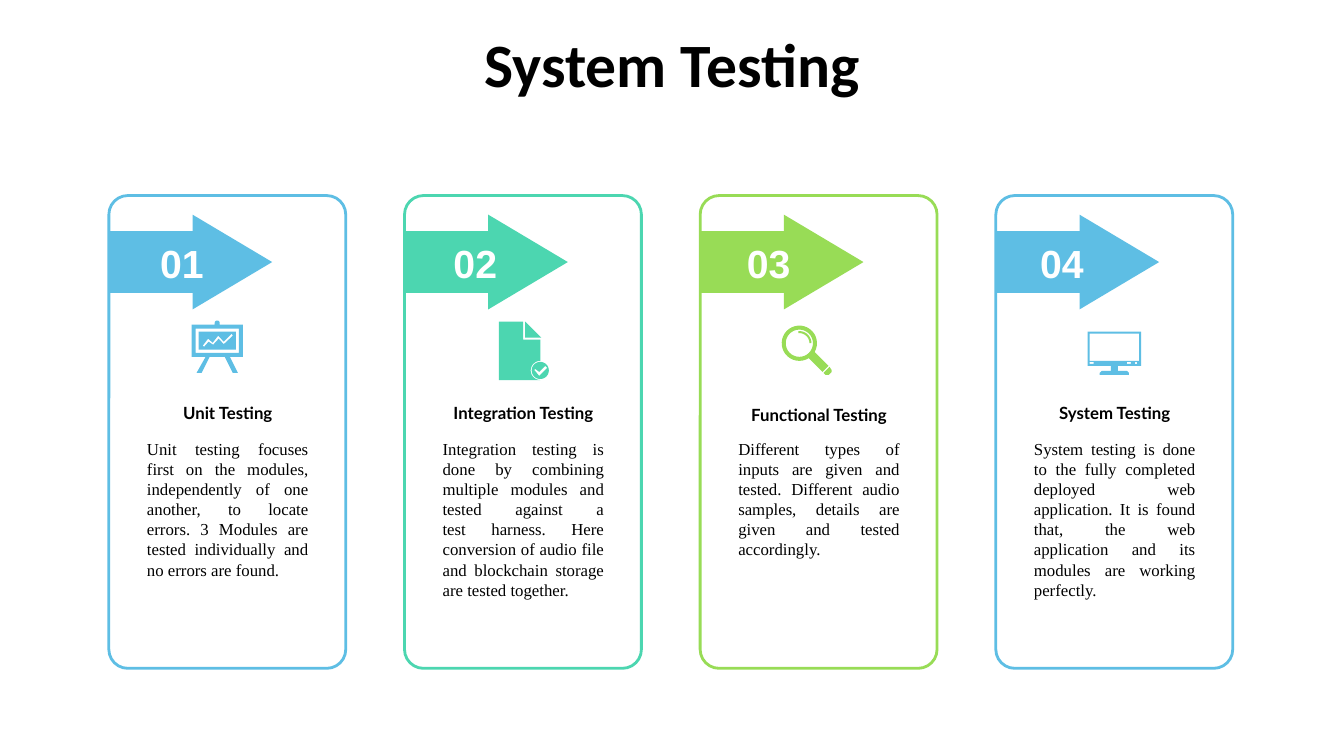
import math

import pptx
import pptx.util
import pptx.dml.color
import pptx.enum.shapes
import pptx.enum.text

COLORS = {
    "blue": "5EBEE4",
    "teal": "4CD6B0",
    "green": "98DC56",
    "white": "FFFFFF",
    "black": "000000",
}
SHAPES = pptx.enum.shapes.MSO_SHAPE
ALIGN = pptx.enum.text.PP_ALIGN

# The slide is a grid of square cells, ten to the inch.
CELL = pptx.util.Inches(0.1)
COLUMNS, ROWS = 133.33, 75
CARD_LEFT, CARD_PITCH = 10.8, 29.33
NUMBER_LEFT, NUMBER_PITCH = 14.5, 29.1

FORMATS = {
    "title": {"name": "Calibri", "size": 44, "bold": True, "color": "black"},
    "number": {"name": "Arial", "size": 28, "bold": True, "color": "white"},
    "heading": {"name": "Lato", "size": 12, "bold": True, "color": "black"},
    "body": {"name": "Times New Roman", "size": 12, "bold": False, "color": "black"},
}

CARDS = [
    {"color": "blue", "heading": "Unit Testing", "heading_row": 39.5, "body_rows": 15.1,
     "body": "Unit testing focuses first on the modules, independently of one another, "
             "to locate errors. 3 Modules are tested individually and no errors are found."},
    {"color": "teal", "heading": "Integration Testing", "heading_row": 39.5, "body_rows": 17.2,
     "body": "Integration testing is done by combining multiple modules and tested against a\v"
             "test harness. Here conversion of audio file and blockchain storage are tested "
             "together."},
    {"color": "green", "heading": "Functional Testing", "heading_row": 39.7, "body_rows": 13.1,
     "body": "Different types of inputs are given and tested. Different audio samples, "
             "details are given and tested accordingly."},
    {"color": "blue", "heading": "System Testing", "heading_row": 39.5, "body_rows": 17.2,
     "body": "System testing is done to the fully completed deployed web application. It is "
             "found that, the web application and its modules are working perfectly."},
]


def cells(*values):
    return [round(value * CELL) for value in values]


def rgb(color):
    return pptx.dml.color.RGBColor.from_string(COLORS[color])


def paint(shape, fill, line=None):
    shape.shadow.inherit = False
    shape.fill.solid()
    shape.fill.fore_color.rgb = rgb(fill)
    if line:
        shape.line.color.rgb = rgb(line)
        shape.line.width = pptx.util.Pt(2)
    else:
        shape.line.fill.background()


def add_preset(slide, kind, box, adjustments, fill, line=None):
    shape = slide.shapes.add_shape(kind, *cells(*box))
    for index, value in enumerate(adjustments):
        shape.adjustments[index] = value
    paint(shape, fill, line)


def add_text(slide, box, text, style, align=ALIGN.CENTER, spacing=None):
    frame = slide.shapes.add_textbox(*cells(*box)).text_frame
    frame.word_wrap = True
    if style != "title":
        frame.auto_size = pptx.enum.text.MSO_AUTO_SIZE.SHAPE_TO_FIT_TEXT
    frame.text = text
    paragraph = frame.paragraphs[0]
    paragraph.alignment = align
    paragraph.line_spacing = spacing
    for run in paragraph.runs:
        for name, value in FORMATS[style].items():
            if name == "color":
                run.font.color.rgb = rgb(value)
            else:
                setattr(run.font, name, pptx.util.Pt(value) if name == "size" else value)


def rectangle(left, top, right, bottom):
    return [(left, top), (right, top), (right, bottom), (left, bottom)]


def arc(x, y, radius, start=0, end=360):
    """Points along a circle, with angles in degrees clockwise from the right."""
    steps = 32
    angles = [math.radians(start + (end - start) * step / steps) for step in range(steps + 1)]
    return [(x + radius * math.cos(angle), y + radius * math.sin(angle)) for angle in angles]


def add_icon(slide, column, row, color, contours):
    """Fill nested contours, given in tenths of a cell, as one outline with holes."""
    scaled = [[cells(x / 10, y / 10) for x, y in contour] for contour in contours]
    builder = slide.shapes.build_freeform(*scaled[0][0])
    for index, contour in enumerate(scaled):
        if index:
            builder.move_to(*contour[0])
        builder.add_line_segments(contour[1:], close=True)
    paint(builder.convert_to_shape(*cells(column, row)), color)


def easel():
    return [
        [(0, 4), (23, 4), *arc(25.5, 2.5, 2.5, 180, 360), (28, 4), (51, 4), (51, 36),
         (38, 36), (46, 52), (41, 52), (33, 36), (18, 36), (10, 52), (5, 52), (14, 36), (0, 36)],
        rectangle(4, 8, 47, 32),
        rectangle(7, 11, 44, 29),
        [(11, 25), (16.5, 18), (21, 22), (26.5, 15), (32, 21), (40, 13), (41, 15),
         (32, 23.5), (27, 18), (21.5, 24), (17, 21), (12.5, 26)],
    ]


def checked_document():
    return [
        [(0, 0), (24, 0), (24, 18), (41, 18), *arc(41, 48.5, 9.5, 270, 90), (0, 58)],
        [(26, 0), (42, 16), (26, 16)],
        arc(41, 48.5, 8.5),
        [(46, 44), (40, 50), (36, 47), (35, 48), (40, 54), (48, 46)],
    ]


def magnifier():
    return [
        [*arc(17, 17.5, 17.5, 58, 390), (46, 40), (40, 46), (26, 32)],
        arc(17, 17.5, 13.5),
        arc(17, 17.5, 12, -95, 0) + arc(17, 17.5, 10, 0, -95),
        [(47, 41), (49, 44), (49, 46), (46, 49), (43, 49), (41, 47)],
    ]


def monitor():
    return [
        [(0, 0), (53, 0), (53, 34), (30, 34), (30, 39), (39, 39), (41, 41), (41, 43),
         (12, 43), (12, 41), (14, 39), (23, 39), (23, 34), (0, 34)],
        rectangle(2, 2, 51, 29),
        rectangle(2, 30, 6, 32),
        rectangle(39, 30, 43, 32),
        arc(48, 31.2, 1.2),
    ]


def add_card(slide, index, card):
    left = CARD_LEFT + index * CARD_PITCH
    number_left = NUMBER_LEFT + index * NUMBER_PITCH
    color = card["color"]
    add_preset(slide, SHAPES.ROUNDED_RECTANGLE, (left, 19.4, 23.5, 46.9), [0.08], "white", color)
    add_text(slide, (left + 2.8, card["heading_row"], 18, 3), card["heading"], "heading")
    add_text(slide, (left + 2.8, 43, 18, card["body_rows"]), card["body"], "body", ALIGN.JUSTIFY)
    add_preset(slide, SHAPES.RIGHT_ARROW, (left, 21.3, 16.2, 9.4), [0.65, 0.84], color)
    add_text(slide, (number_left, 23.3, 7.1, 5.7), f"{index + 1:02}", "number")


def main():
    presentation = pptx.Presentation()
    presentation.slide_width, presentation.slide_height = cells(COLUMNS, ROWS)
    slide = presentation.slides.add_slide(presentation.slide_layouts[6])
    for index, card in enumerate(CARDS):
        add_card(slide, index, card)
    add_text(slide, (0, 2.9, COLUMNS, 8.8), "System Testing", "title", spacing=0.9)
    add_icon(slide, 107.9, 32.9, "blue", monitor())
    add_icon(slide, 77.6, 32.3, "green", magnifier())
    add_icon(slide, 49.5, 31.9, "teal", checked_document())
    add_icon(slide, 19, 31.8, "blue", easel())
    presentation.save("out.pptx")


if __name__ == "__main__":
    main()
